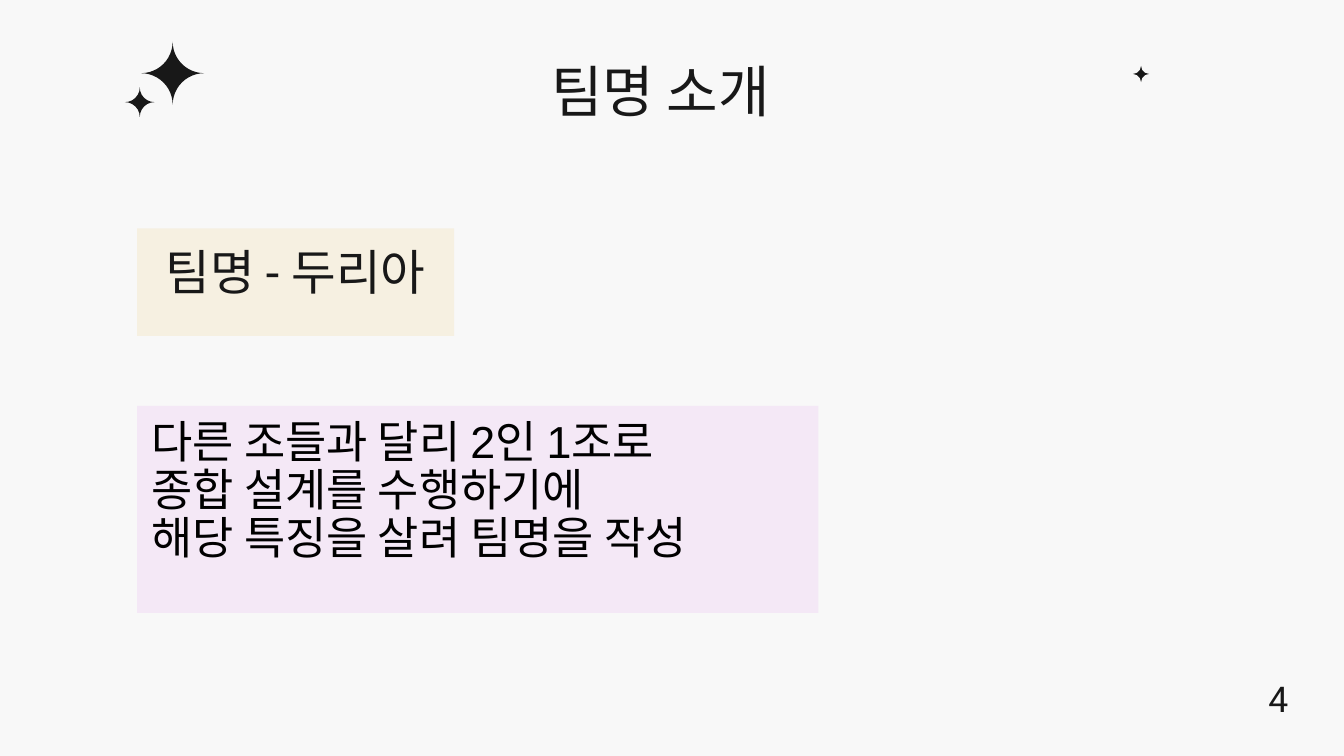
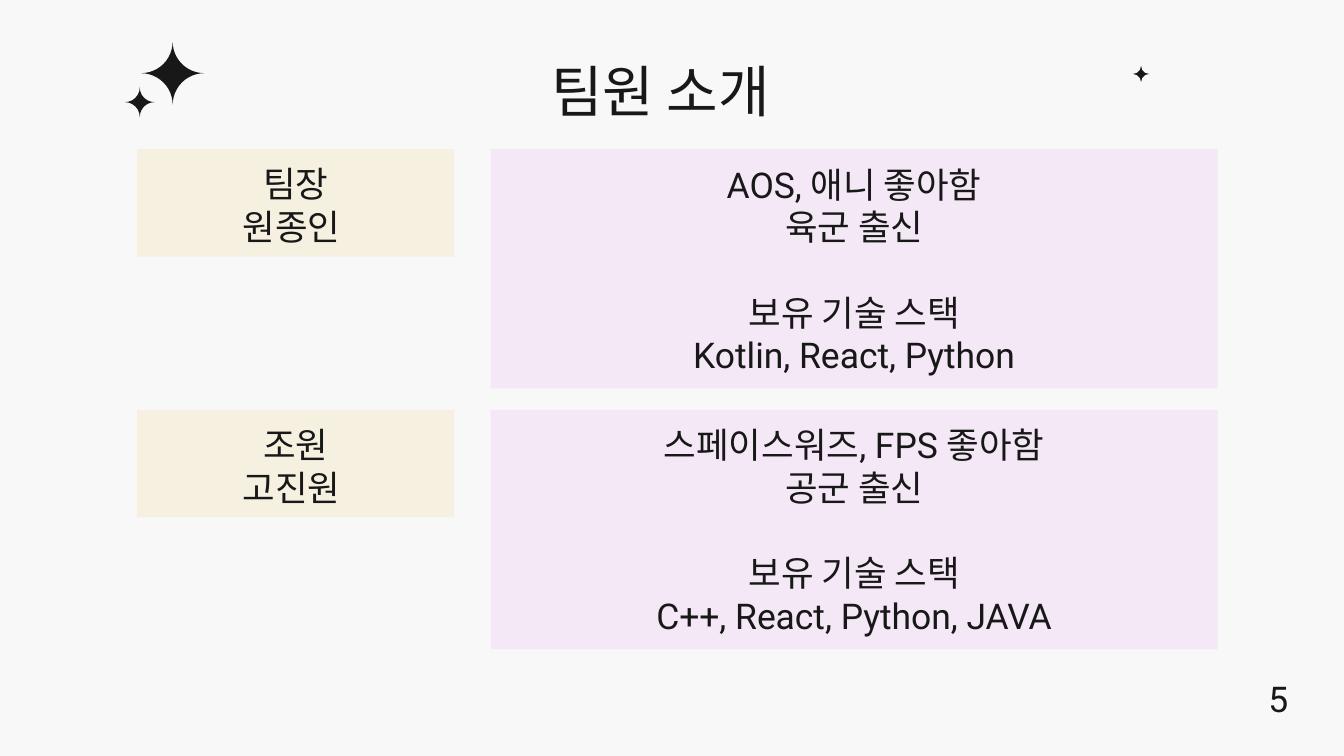
import dataclasses

import pptx
import pptx.dml.color
import pptx.enum.shapes
import pptx.enum.text
import pptx.util

Inches = pptx.util.Inches
Shape = pptx.enum.shapes.MSO_SHAPE
Align = pptx.enum.text.PP_ALIGN


@dataclasses.dataclass(frozen=True)
class Theme:
    paper: str = "F8F8F8"
    ink: str = "181818"
    black: str = "000000"
    cream: str = "F6F0E1"
    lilac: str = "F4E8F6"
    font: str = "Roboto"
    plain_font: str = "Arial"
    title_size: int = 30
    name_size: int = 26
    reason_size: int = 24
    body_size: int = 19
    group_gap: int = 23


theme = Theme()


def color(value):
    return pptx.dml.color.RGBColor.from_string(value)


def write(box, text, size=theme.body_size, font=theme.font, ink=theme.ink,
          align=Align.CENTER, line_spacing=None, left_margin=0.1, fill=None):
    """Fill a box with paragraphs; a group after a blank line gets space before it."""
    if fill:
        box.fill.solid()
        box.fill.fore_color.rgb = color(fill)
        box.line.fill.background()
        box.shadow.inherit = False
    frame = box.text_frame
    frame.word_wrap = True
    frame.auto_size = pptx.enum.text.MSO_AUTO_SIZE.NONE
    frame.vertical_anchor = pptx.enum.text.MSO_ANCHOR.TOP
    frame.margin_left = Inches(left_margin)
    frame.margin_top = frame.margin_right = frame.margin_bottom = Inches(0.1)
    para = frame.paragraphs[0]
    for group_index, group in enumerate(text.split("\n\n")):
        for line_index, line in enumerate(group.split("\n")):
            if group_index or line_index:
                para = frame.add_paragraph()
            para.text = line
            para.alignment = align
            starts_group = group_index and not line_index
            para.space_before = pptx.util.Pt(theme.group_gap if starts_group else 0)
            if line_spacing:
                para.line_spacing = line_spacing
            for span in para.runs:
                span.font.size = pptx.util.Pt(size)
                span.font.name = font
                span.font.color.rgb = color(ink)


deck = pptx.Presentation()
deck.slide_width = Inches(10)
deck.slide_height = deck.slide_width * 9 // 16
background = deck.slide_master.background.fill
background.solid()
background.fore_color.rgb = color(theme.paper)
title_only = deck.slide_layouts[5]

# Frame shared by both pages: title, stars and page number
sparkles = [(0.93, 0.65, 0.22), (1.05, 0.31, 0.47), (8.43, 0.49, 0.12)]
pages = []
for number, heading in enumerate(["팀명 소개", "팀원 소개"], start=4):
    page = deck.slides.add_slide(title_only)
    pages.append(page)
    for left, top, side in sparkles:
        star = page.shapes.add_shape(Shape.PLAQUE, Inches(left), Inches(top),
                                     Inches(side), Inches(side))
        star.adjustments[0] = 0.5
        star.fill.solid()
        star.fill.fore_color.rgb = color(theme.ink)
        star.line.fill.background()
        star.shadow.inherit = False
    title = page.shapes.title
    title.left, title.top = Inches(0.7), Inches(0.32)
    title.width, title.height = Inches(8.43), Inches(0.63)
    write(title, heading, size=theme.title_size)
    page_number = page.shapes.add_textbox(Inches(9.34), Inches(4.94),
                                          Inches(0.36), Inches(0.52))
    write(page_number, str(number), align=Align.LEFT)

name_page, member_page = pages
label_left, label_width, label_height = Inches(1.02), Inches(2.36), Inches(0.8)

# Team name and the reason for it
team_name = name_page.shapes.add_shape(Shape.RECTANGLE, label_left, Inches(1.7),
                                       label_width, label_height)
write(team_name, "팀명 - 두리아", size=theme.name_size, fill=theme.cream)
reason = name_page.shapes.add_shape(Shape.RECTANGLE, label_left, Inches(3.02),
                                    Inches(5.07), Inches(1.54))
write(reason, "다른 조들과 달리 2인 1조로\v종합 설계를 수행하기에 \v해당 특징을 살려 팀명을 작성",
      size=theme.reason_size, font=theme.plain_font, ink=theme.black,
      align=Align.LEFT, line_spacing=0.9, left_margin=0.11, fill=theme.lilac)

# One row per member
members = [
    ("팀장\n원종인 ",
     "AOS, 애니 좋아함\n육군 출신\n\n보유 기술 스택\nKotlin, React, Python"),
    ("조원\n고진원 ",
     "스페이스워즈, FPS 좋아함\n공군 출신\n\n보유 기술 스택\nC++, React, Python, JAVA"),
]
for row, (member, profile) in enumerate(members):
    top = Inches(1.11 + 1.94 * row)
    label = member_page.shapes.add_shape(Shape.RECTANGLE, label_left, top,
                                         label_width, label_height)
    write(label, member, fill=theme.cream)
    card = member_page.shapes.add_shape(Shape.RECTANGLE, Inches(3.65), top,
                                        Inches(5.41), Inches(1.78))
    write(card, profile, fill=theme.lilac)

deck.save("out.pptx")
